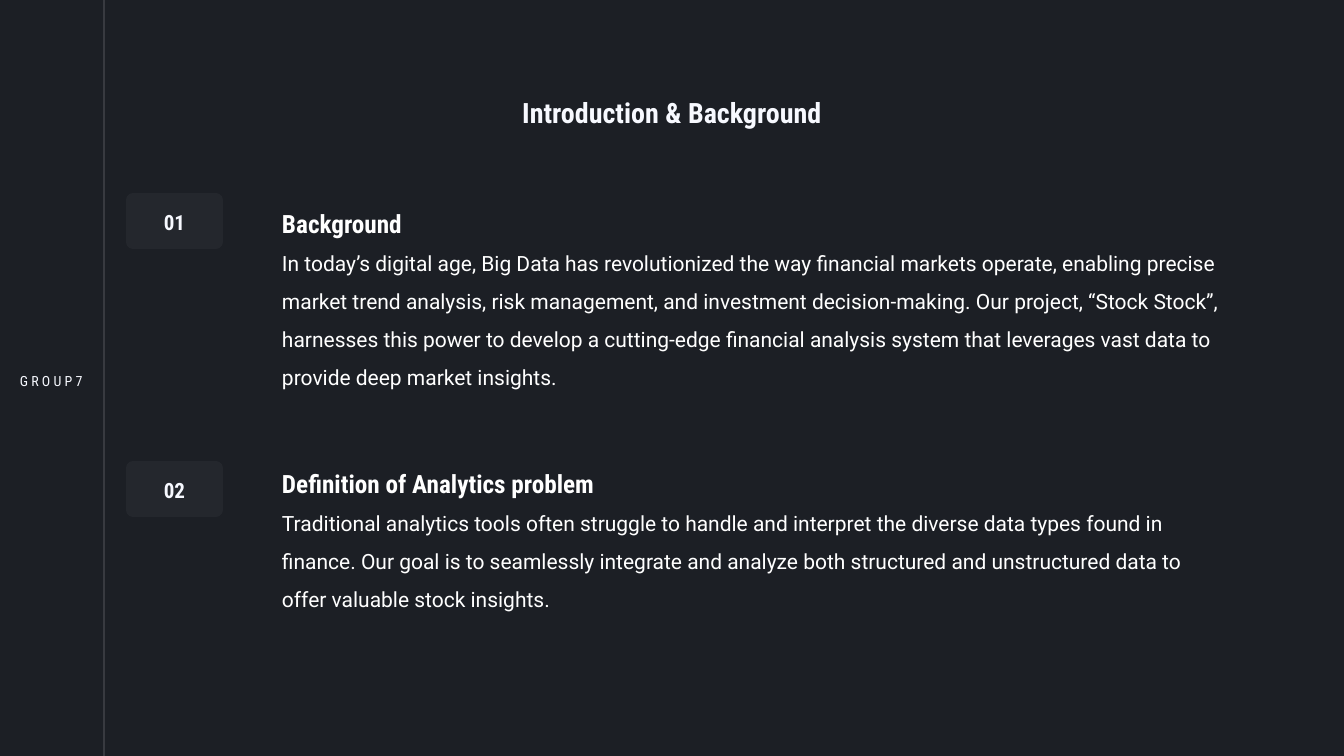
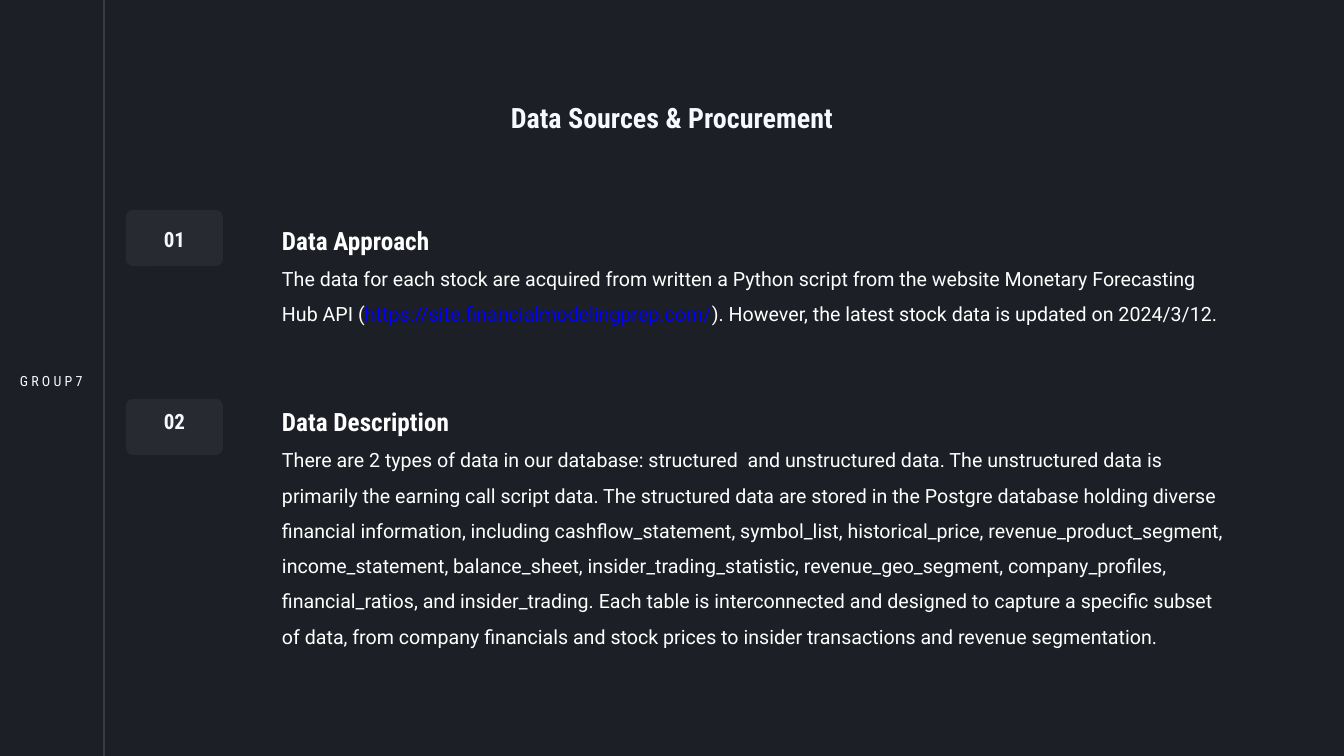
from dataclasses import dataclass

from lxml.etree import SubElement
from pptx import Presentation
from pptx.dml.color import RGBColor
from pptx.enum.shapes import MSO_CONNECTOR as Connector, MSO_SHAPE as Shape
from pptx.enum.text import MSO_ANCHOR as Anchor, MSO_AUTO_SIZE as AutoSize, PP_ALIGN as Align
from pptx.oxml.ns import qn
from pptx.util import Emu, Pt

EMU_PER_PX = 914400 / 100.8
SLIDE_W, SLIDE_H = 1344, 756
RAIL_X = 104
CHIP_X, CHIP_W, CHIP_H = 126, 97, 56
BODY_X, BODY_W = 282, 949
HEAD_FONT, BODY_FONT = "Roboto Condensed", "Roboto"
COLORS = {"back": "1C1F25", "pale": "F7F9FF", "white": "FFFFFF", "link": "0000FF"}

# Text styles
RAIL = {"name": HEAD_FONT, "size": Pt(10), "color": "pale"}
TITLE = {"name": HEAD_FONT, "size": Pt(20), "bold": True, "color": "pale"}
NUMBER = TITLE | {"size": Pt(15)}
HEADING = {"name": HEAD_FONT, "size": Pt(18), "bold": True, "color": "white"}
BODY = {"name": BODY_FONT, "bold": False, "color": "white"}
LINK = {"color": "link", "underline": True}


@dataclass(frozen=True)
class Section:
    number: str
    chip_top: int
    body_top: int
    body_height: int
    heading: str
    phrases: tuple[str, ...]  # every second phrase is a web address
    number_drop: int = 13


@dataclass(frozen=True)
class Page:
    title: str
    title_top: int
    body_size: int
    chip_alpha: int
    sections: tuple[Section, ...]


PAGES = (
    Page("Introduction & Background", 85, 15, 4, (
        Section("01", 193, 193, 185, "Background", (
            "In today’s digital age, Big Data has revolutionized the way financial markets "
            "operate, enabling precise market trend analysis, risk management, and investment "
            "decision-making. Our project, “Stock Stock”, harnesses this power to develop a "
            "cutting-edge financial analysis system that leverages vast data to provide deep "
            "market insights.",)),
        Section("02", 461, 453, 147, "Definition of Analytics problem", (
            "Traditional analytics tools often struggle to handle and interpret the diverse "
            "data types found in finance. Our goal is to seamlessly integrate and analyze both "
            "structured and unstructured data to offer valuable stock insights.",)),
    )),
    Page("Data Sources & Procurement", 90, 14, 5, (
        Section("01", 210, 210, 105, "Data Approach", (
            "The data for each stock are acquired from written a Python script from the "
            "website Monetary Forecasting Hub API (",
            "https://site.financialmodelingprep.com/",
            "). However, the latest stock data is updated on 2024/3/12.")),
        Section("02", 399, 391, 248, "Data Description", (
            "There are 2 types of data in our database: structured  and unstructured data. The "
            "unstructured data is primarily the earning call script data. The structured data "
            "are stored in the Postgre database holding diverse financial information, "
            "including cashflow_statement, symbol_list, historical_price, "
            "revenue_product_segment, income_statement, balance_sheet, "
            "insider_trading_statistic, revenue_geo_segment, company_profiles, "
            "financial_ratios, and insider_trading. Each table is interconnected and designed "
            "to capture a specific subset of data, from company financials and stock prices to "
            "insider transactions and revenue segmentation.",), number_drop=6),
    )),
)


def px(*lengths: int) -> list[Emu]:
    return [Emu(round(length * EMU_PER_PX)) for length in lengths]


def paint(fill, color: str, alpha: int = 100) -> None:
    fill.solid()
    fill.fore_color.rgb = RGBColor.from_string(COLORS[color])
    if alpha < 100:
        tint = fill._xPr.find(qn("a:solidFill"))[0]
        SubElement(tint, qn("a:alpha"), val=str(alpha * 1000))


def add_run(paragraph, text: str, style: dict) -> None:
    run = paragraph.add_run()
    run.text = text
    for key, value in style.items():
        if key == "color":
            run.font.color.rgb = RGBColor.from_string(COLORS[value])
        else:
            setattr(run.font, key, value)


def add_box(shapes, left: int, top: int, width: int, height: int):
    frame = shapes.add_textbox(*px(left, top, width, height)).text_frame
    settings = {"word_wrap": True, "auto_size": AutoSize.SHAPE_TO_FIT_TEXT, "margin_left": 0,
                "margin_top": 0, "margin_right": 0, "margin_bottom": 0}
    for key, value in settings.items():
        setattr(frame, key, value)
    return frame


def add_centered(shapes, area: tuple[int, int, int, int], text: str, style: dict):
    frame = add_box(shapes, *area)
    line = frame.paragraphs[0]
    line.alignment, line.line_spacing = Align.CENTER, 1.3
    add_run(line, text, style)
    return frame


def add_rail(slide) -> None:
    rail = slide.shapes.add_connector(Connector.STRAIGHT, *px(RAIL_X, SLIDE_H, RAIL_X, 0))
    rail.line.width = Pt(1)
    paint(rail.line.fill, "pale", 20)
    SubElement(rail._element.spPr, qn("a:effectLst"))
    team = add_box(slide.shapes, 20, 373, 105, 17)
    add_run(team.paragraphs[0], "G R O U P 7", RAIL)


def add_section(slide, section: Section, page: Page) -> None:
    # Numbered chip
    badge = slide.shapes.add_group_shape().shapes
    chip = badge.add_shape(Shape.ROUNDED_RECTANGLE,
                           *px(CHIP_X, section.chip_top, CHIP_W, CHIP_H))
    chip.adjustments[0] = 0.125
    chip.shadow.inherit = False
    chip.line.fill.background()
    paint(chip.fill, "pale", page.chip_alpha)
    number_area = (CHIP_X + 30, section.chip_top + section.number_drop, CHIP_W - 60, 25)
    number = add_centered(badge, number_area, section.number, NUMBER)
    number.vertical_anchor = Anchor.MIDDLE

    # Heading and body
    frame = add_box(slide.shapes, BODY_X, section.body_top, BODY_W, section.body_height)
    heading, body = frame.paragraphs[0], frame.add_paragraph()
    heading.line_spacing = body.line_spacing = 1.5
    add_run(heading, section.heading, HEADING)
    plain = BODY | {"size": Pt(page.body_size)}
    for index, phrase in enumerate(section.phrases):
        add_run(body, phrase, plain | LINK if index % 2 else plain)


def main() -> None:
    prs = Presentation()
    prs.slide_width, prs.slide_height = px(SLIDE_W, SLIDE_H)
    paint(prs.slide_master.background.fill, "back")
    for page in PAGES:
        slide = prs.slides.add_slide(prs.slide_layouts[6])
        add_rail(slide)
        add_centered(slide.shapes, (450, page.title_top, 444, 34), page.title, TITLE)
        for section in page.sections:
            add_section(slide, section, page)
    prs.save("out.pptx")


if __name__ == "__main__":
    main()
